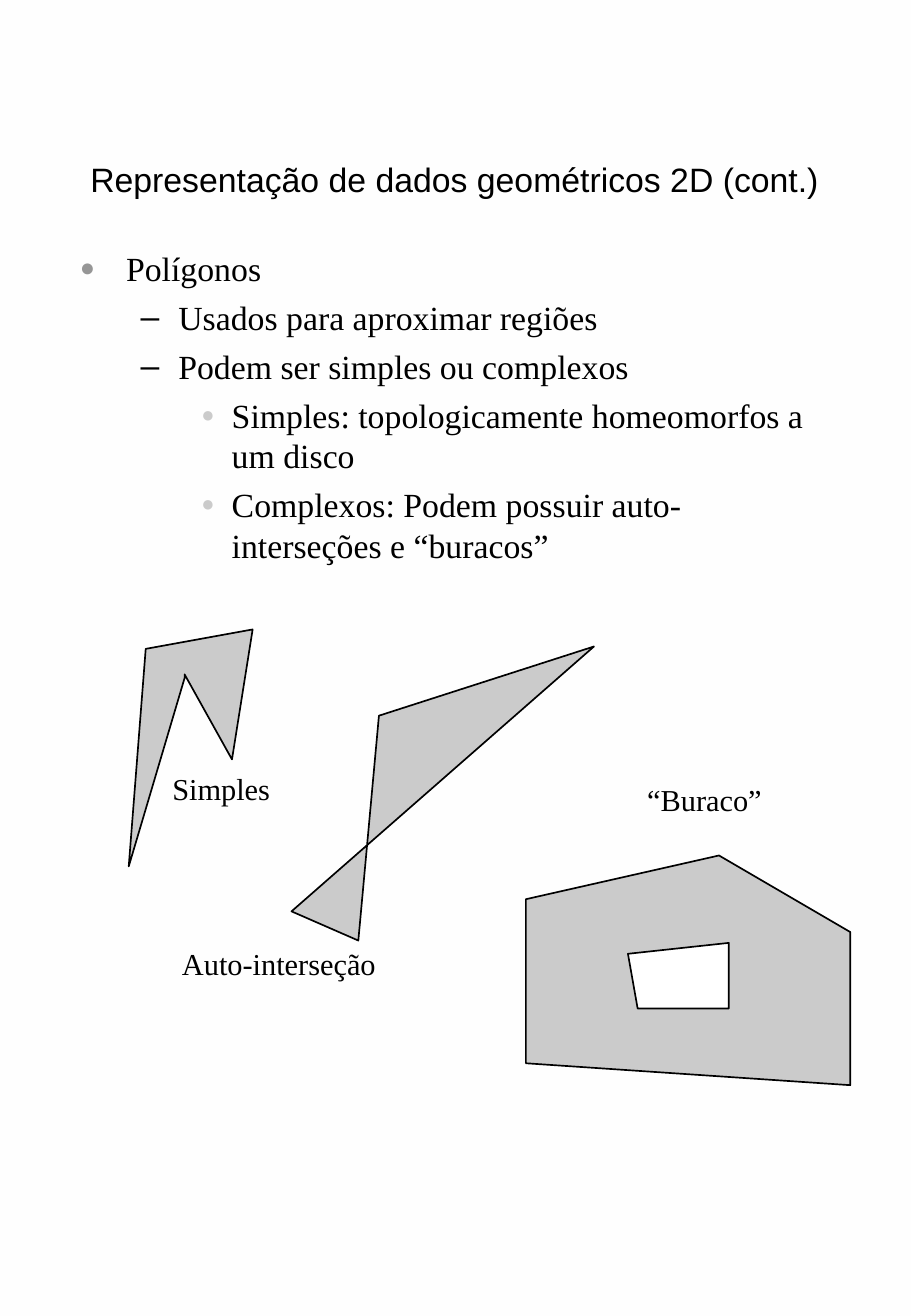
from lxml import etree
from pptx import Presentation, util as u
from pptx.dml.color import RGBColor
from pptx.enum import text
from pptx.oxml import ns

COLORS = {"ink": "000000", "region": "CBCBCB", "hole": "FFFFFF",
          "dot": "969696", "subdot": "CBCBCB", "top": "FEFEFE", "bottom": "FFFFFF"}
SERIF, SANS = "Times New Roman", "Arial"
CELL = u.Inches(0.1)
LEVELS = [
    {"left": 0.38, "hang": 0.38, "char": "●", "font": SERIF, "color": "dot", "size": 75},
    {"left": 0.81, "hang": 0.31, "char": "–", "font": SANS, "color": "ink", "size": 100},
    {"left": 1.25, "hang": 0.25, "char": "●", "font": SERIF, "color": "subdot", "size": 65},
]
TOPICS = [
    (0, "Polígonos"),
    (1, "Usados para aproximar regiões"),
    (1, "Podem ser simples ou complexos"),
    (2, "Simples: topologicamente homeomorfos a um disco"),
    (2, "Complexos: Podem possuir auto-interseções e “buracos”"),
]
POLYGONS = [
    ("region", [(10.6, 71.3), (12, 53.4), (20.8, 51.8), (19.1, 62.5), (15.2, 55.5), (15.2, 55.8)]),
    ("region", [(29.5, 77.4), (31.2, 58.9), (48.9, 53.2), (24, 75)]),
    ("region", [(43.3, 87.5), (43.3, 74), (59.2, 70.4), (70, 76.7), (70, 89.3)]),
    ("hole", [(51.7, 78.5), (52.5, 83), (60, 83), (60, 77.6)]),
]
LABELS = [
    ("Simples", (13.2, 62.9, 11, 4)),
    ("Auto-interseção", (14, 77.3, 19, 4)),
    ("“Buraco”", (52.3, 63.8, 12.5, 4)),
]


def rgb(name):
    return RGBColor.from_string(COLORS[name])


def grid(*cells):
    return [round(c * CELL) for c in cells]


def write(p, content, font=SERIF, size=20, color="ink", align=text.PP_ALIGN.LEFT):
    p.alignment = align
    r = p.add_run()
    r.text = content
    r.font.name, r.font.size = font, u.Pt(size)
    r.font.color.rgb = rgb(color)


class Deck:
    """Draws text, bullets and polygons on a grid of tenth-inch cells."""

    def __init__(self, width, height):
        self.prs = Presentation()
        self.prs.slide_width, self.prs.slide_height = u.Inches(width), u.Inches(height)
        self.slide = self.prs.slides.add_slide(self.prs.slide_layouts[6])
        fill = self.slide.background.fill
        fill.gradient()
        fill.gradient_angle = 180
        for stop, name in zip(fill.gradient_stops, ("top", "bottom")):
            stop.color.rgb = rgb(name)

    def box(self, area, anchor=text.MSO_ANCHOR.TOP):
        tf = self.slide.shapes.add_textbox(*grid(*area)).text_frame
        tf.word_wrap, tf.vertical_anchor = True, anchor
        return tf

    def title(self, content, area):
        tf = self.box(area, anchor=text.MSO_ANCHOR.MIDDLE)
        write(tf.paragraphs[0], content, font=SANS, align=text.PP_ALIGN.CENTER)

    def label(self, content, area):
        write(self.box(area).paragraphs[0], content, size=18)

    def bullet(self, p, level):
        style = LEVELS[level]
        p.level = level
        pPr = p._p.get_or_add_pPr()
        pPr.set("marL", str(u.Inches(style["left"])))
        pPr.set("indent", str(-u.Inches(style["hang"])))
        color = etree.SubElement(pPr, ns.qn("a:buClr"))
        etree.SubElement(color, ns.qn("a:srgbClr"), val=COLORS[style["color"]])
        etree.SubElement(pPr, ns.qn("a:buSzPct"), val=str(style["size"] * 1000))
        etree.SubElement(pPr, ns.qn("a:buFont"), typeface=style["font"])
        etree.SubElement(pPr, ns.qn("a:buChar"), char=style["char"])

    def outline(self, topics, area):
        tf = self.box(area)
        for i, (level, content) in enumerate(topics):
            p = tf.add_paragraph() if i else tf.paragraphs[0]
            self.bullet(p, level)
            if i:
                p.space_before = u.Pt(5)
            write(p, content)

    def polygon(self, points, fill):
        start, *rest = [grid(*point) for point in points]
        builder = self.slide.shapes.build_freeform(*start)
        builder.add_line_segments(rest, close=True)
        sp = builder.convert_to_shape()
        sp.shadow.inherit = False
        sp.fill.solid()
        sp.fill.fore_color.rgb = rgb(fill)
        sp.line.color.rgb = rgb("ink")
        sp.line.width = u.Pt(1)


def main():
    deck = Deck(7.5, 10.83)
    deck.title("Representação de dados geométricos 2D (cont.)", (5.6, 9.6, 63.7, 10.2))
    deck.outline(TOPICS, (5.6, 19.9, 63.7, 29.8))
    for fill, points in POLYGONS:
        deck.polygon(points, fill)
    for content, area in LABELS:
        deck.label(content, area)
    deck.prs.save("out.pptx")


if __name__ == "__main__":
    main()
